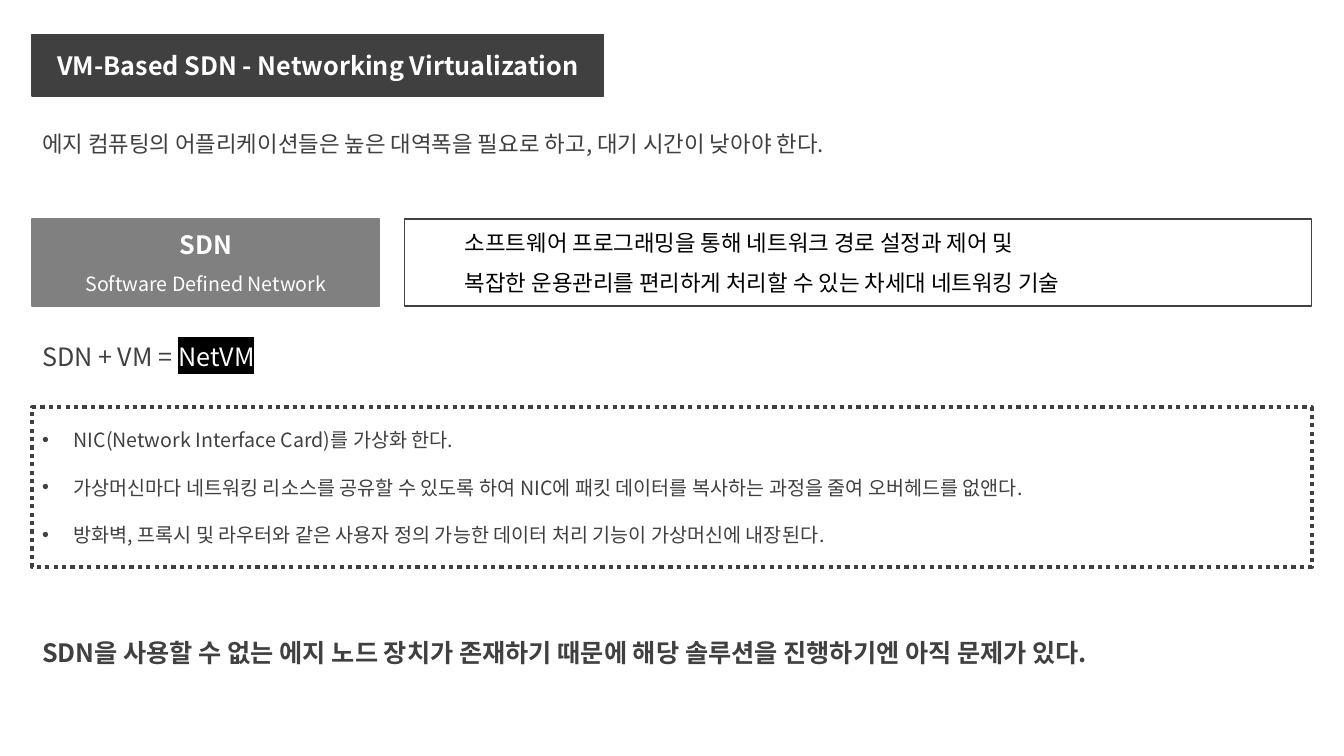
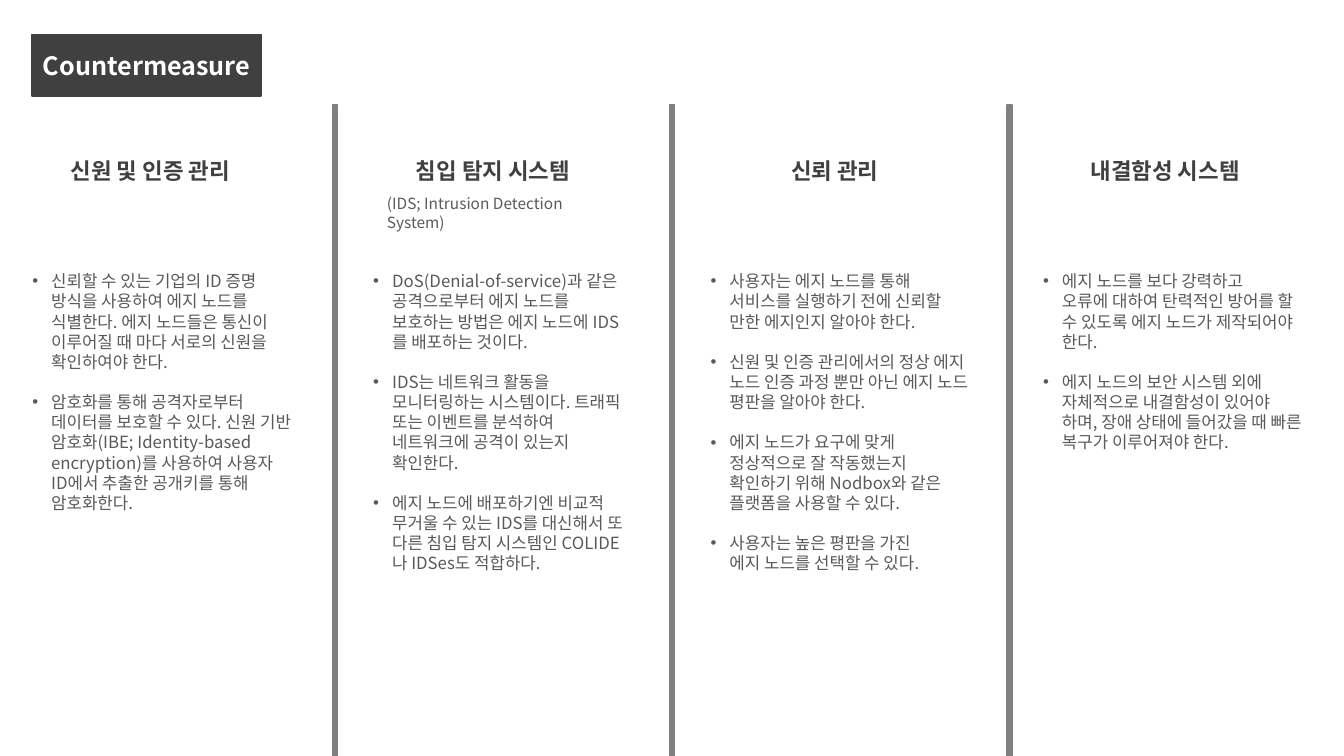
from dataclasses import dataclass
from typing import Optional

from lxml.etree import SubElement
from pptx import Presentation
from pptx.dml.color import RGBColor as Rgb
from pptx.enum.dml import MSO_LINE_DASH_STYLE as Dash
from pptx.enum.shapes import MSO_SHAPE as Preset
from pptx.enum.text import MSO_ANCHOR as Anchor, MSO_AUTO_SIZE as AutoSize, PP_ALIGN as Align
from pptx.oxml.ns import qn
from pptx.util import Pt


# Theme
@dataclass(frozen=True)
class Theme:
    font: str = "Noto Sans CJK KR"
    dark: str = "404040"
    body: str = "595959"
    gray: str = "808080"
    white: str = "FFFFFF"
    black: str = "000000"
    title_size: float = 18
    lead_size: float = 16
    list_size: float = 14
    column_size: float = 12
    note_size: float = 11
    line_height: float = 1.2
    margin: float = 23


THEME = Theme()


@dataclass(frozen=True)
class Box:
    left: float
    top: float
    width: float
    height: float

    def lengths(self) -> dict:
        return {name: Pt(getattr(self, name)) for name in ("left", "top", "width", "height")}


@dataclass(frozen=True)
class Run:
    text: str
    size: float
    color: str = THEME.dark
    bold: bool = False
    highlight: Optional[str] = None


@dataclass(frozen=True)
class Line:
    runs: tuple
    align: Align = Align.LEFT
    spacing: float = 1.0
    before: float = 0
    indent: float = 0
    bullet: bool = False


@dataclass(frozen=True)
class Column:
    heading: str
    heading_left: float
    body_left: float
    points: tuple
    note: str = ""


# Text
def set_format(target: object, values: dict) -> None:
    for name, value in values.items():
        setattr(target, name, value)


def add_run(paragraph, item: Run) -> None:
    run = paragraph.add_run()
    run.text = item.text
    set_format(run.font, {"size": Pt(item.size), "bold": item.bold, "name": THEME.font})
    run.font.color.rgb = Rgb.from_string(item.color)
    properties = run.font._element
    latin = properties.find(qn("a:latin"))
    east_asian = SubElement(properties, qn("a:ea"), typeface=THEME.font)
    latin.addnext(east_asian)
    if item.highlight:
        highlight = SubElement(properties, qn("a:highlight"))
        SubElement(highlight, qn("a:srgbClr"), val=item.highlight)
        latin.addprevious(highlight)


def write_lines(shape, lines: list, anchor: Anchor) -> None:
    frame = shape.text_frame
    set_format(frame, {"word_wrap": True, "auto_size": AutoSize.NONE, "vertical_anchor": anchor})
    for index, line in enumerate(lines):
        paragraph = frame.add_paragraph() if index else frame.paragraphs[0]
        set_format(paragraph, {"alignment": line.align, "line_spacing": line.spacing,
                               "space_before": Pt(line.before)})
        properties = paragraph._p.get_or_add_pPr()
        properties.set("marL", str(Pt(line.indent)))
        properties.set("indent", str(-Pt(line.indent) if line.bullet else 0))
        if line.bullet:
            SubElement(properties, qn("a:buFont"), typeface="Arial")
            SubElement(properties, qn("a:buChar"), char="•")
        for item in line.runs:
            add_run(paragraph, item)


def bullet_lines(points: tuple, size: float, color: str, indent: float) -> list:
    gap = size * THEME.line_height
    return [Line((Run(point, size, color),), before=gap if index else 0, indent=indent, bullet=True)
            for index, point in enumerate(points)]


# Shapes
def paint(shape, fill: str, line: str, width: float = 1, dash: Optional[Dash] = None) -> None:
    shape.fill.solid()
    shape.fill.fore_color.rgb = Rgb.from_string(fill)
    shape.line.color.rgb = Rgb.from_string(line)
    set_format(shape.line, {"width": Pt(width), "dash_style": dash})


def add_panel(slide, box: Box, fill: str, line: str, lines: list,
              width: float = 1, dash: Optional[Dash] = None) -> None:
    shape = slide.shapes.add_shape(Preset.RECTANGLE, **box.lengths())
    shape.shadow.inherit = False
    paint(shape, fill, line, width, dash)
    write_lines(shape, lines, Anchor.MIDDLE)


def add_text(slide, box: Box, lines: list) -> None:
    write_lines(slide.shapes.add_textbox(**box.lengths()), lines, Anchor.TOP)


def add_titled_slide(presentation, title: str, width: float):
    slide = presentation.slides.add_slide(presentation.slide_layouts[5])
    shape = slide.shapes.title
    set_format(shape, Box(THEME.margin, 24.5, width, 44).lengths())
    paint(shape, THEME.dark, THEME.dark)
    run = Run(title, THEME.title_size, THEME.white, True)
    write_lines(shape, [Line((run,), Align.CENTER)], Anchor.MIDDLE)
    return slide


# Networking virtualization
def build_networking(presentation) -> None:
    slide = add_titled_slide(presentation, "VM-Based SDN - Networking Virtualization", 408)
    left, full_width = THEME.margin, 914
    lead, title = THEME.lead_size, THEME.title_size

    add_text(slide, Box(left, 89.3, 644, 27), [Line((Run(
        "에지 컴퓨팅의 어플리케이션들은 높은 대역폭을 필요로 하고, 대기 시간이 낮아야 한다.", lead),))])

    # Term and definition
    add_panel(slide, Box(left, 156.5, 248, 62), THEME.gray, THEME.gray, [
        Line((Run("SDN", title, THEME.white, True),), Align.CENTER),
        Line((Run("Software\u00a0Defined\u00a0Network", THEME.list_size, THEME.white),),
             Align.CENTER, spacing=1.5),
    ])
    add_panel(slide, Box(289, 156.5, 648, 62), THEME.white, THEME.dark, [
        Line((Run("소프트웨어 프로그래밍을 통해 네트워크 경로 설정과 제어 및", lead, THEME.black),),
             indent=36),
        Line((Run("복잡한 운용관리를 편리하게 처리할 수 있는 차세대 네트워킹 기술", lead, THEME.black),),
             spacing=1.5, indent=36),
    ])

    # Combination and its features
    add_text(slide, Box(left, 240, 189, 29), [Line((
        Run("SDN + VM = ", title),
        Run("NetVM", title, THEME.white, highlight=THEME.black)))])
    features = (
        "NIC(Network Interface Card)를 가상화 한다.",
        "가상머신마다 네트워킹 리소스를 공유할 수 있도록 하여 NIC에 패킷 데이터를 복사하는 과정을 줄여 오버헤드를 없앤다.",
        "방화벽, 프록시 및 라우터와 같은 사용자 정의 가능한 데이터 처리 기능이 가상머신에 내장된다.",
    )
    add_panel(slide, Box(left, 291, full_width, 114), THEME.white, THEME.dark,
              bullet_lines(features, THEME.list_size, THEME.dark, 22.5), 3, Dash.ROUND_DOT)

    # Conclusion
    add_text(slide, Box(left, 451.5, 850, 29), [Line((Run(
        "SDN을 사용할 수 없는 에지 노드 장치가 존재하기 때문에 해당 솔루션을 진행하기엔 아직 문제가 있다.",
        title, bold=True),))])


# Countermeasures
COLUMNS = (
    Column("신원 및 인증 관리", 43.5, 16, (
        "신뢰할 수 있는 기업의 ID 증명 방식을 사용하여 에지 노드를 식별한다. 에지 노드들은 통신이 "
        "이루어질 때 마다 서로의 신원을 확인하여야 한다.",
        "암호화를 통해 공격자로부터 데이터를 보호할 수 있다. 신원 기반 암호화(IBE; Identity-based "
        "encryption)를 사용하여 사용자 ID에서 추출한 공개키를 통해 암호화한다.",
    )),
    Column("침입 탐지 시스템", 290, 259.5, (
        "DoS(Denial-of-service)과 같은 공격으로부터 에지 노드를 보호하는 방법은 에지 노드에 IDS를 "
        "배포하는 것이다.",
        "IDS는 네트워크 활동을 모니터링하는 시스템이다. 트래픽 또는 이벤트를 분석하여 네트워크에 "
        "공격이 있는지 확인한다.",
        "에지 노드에 배포하기엔 비교적 무거울 수 있는 IDS를 대신해서 또 다른 침입 탐지 시스템인 "
        "COLIDE나 IDSes도 적합하다.",
    ), "(IDS; Intrusion Detection System)"),
    Column("신뢰 관리", 558, 500.5, (
        "사용자는 에지 노드를 통해 서비스를 실행하기 전에 신뢰할 만한 에지인지 알아야 한다.",
        "신원 및 인증 관리에서의 정상 에지 노드 인증 과정 뿐만 아닌 에지 노드 평판을 알아야 한다.",
        "에지 노드가 요구에 맞게 정상적으로 잘 작동했는지 확인하기 위해 Nodbox와 같은 플랫폼을 "
        "사용할 수 있다.",
        "사용자는 높은 평판을 가진 에지\u00a0노드를 선택할 수 있다.",
    )),
    Column("내결함성 시스템", 772, 738, (
        "에지 노드를 보다 강력하고 오류에\u00a0대하여 탄력적인 방어를 할 수 있도록 에지 노드가 "
        "제작되어야 한다.",
        "에지 노드의 보안 시스템 외에 자체적으로 내결함성이 있어야 하며, 장애 상태에 들어갔을 때 "
        "빠른 복구가 이루어져야 한다.",
    )),
)


def build_countermeasures(presentation) -> None:
    slide = add_titled_slide(presentation, "Countermeasure", 163.5)
    divider_left, divider_step, divider_top = 237.6, 240.8, 75

    for index, column in enumerate(COLUMNS):
        if index:
            left = divider_left + (index - 1) * divider_step
            add_panel(slide, Box(left, divider_top, 3.6, 540 - divider_top),
                      THEME.gray, THEME.gray, [])
        add_text(slide, Box(column.heading_left, 108.7, 145, 27),
                 [Line((Run(column.heading, THEME.lead_size, bold=True),))])
        if column.note:
            add_text(slide, Box(269.3, 135.4, 170, 34),
                     [Line((Run(column.note, THEME.note_size, THEME.body),))])
        add_text(slide, Box(column.body_left, 190, 200, 225),
                 bullet_lines(column.points, THEME.column_size, THEME.body, 13.5))


def main() -> None:
    presentation = Presentation()
    set_format(presentation, {"slide_width": Pt(960), "slide_height": Pt(540)})
    build_networking(presentation)
    build_countermeasures(presentation)
    presentation.save("out.pptx")


main()
